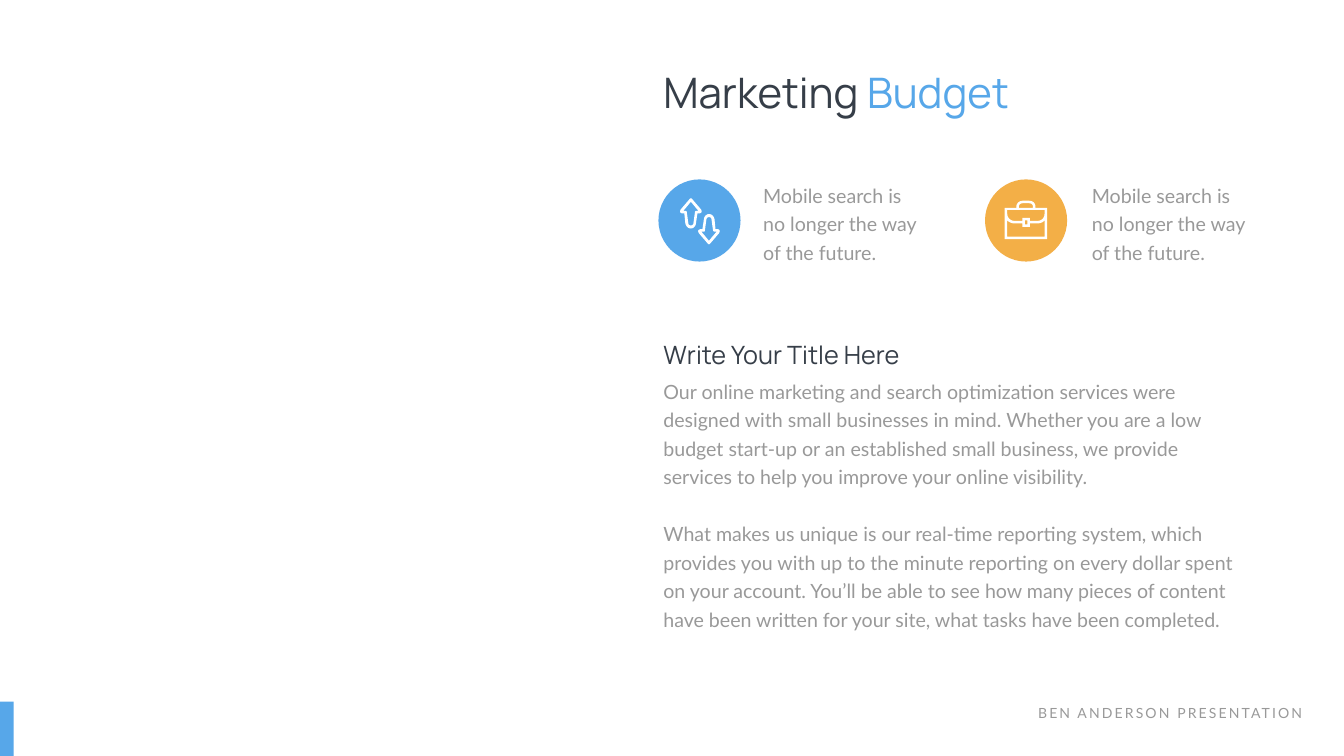
from dataclasses import dataclass
from typing import NamedTuple

from pptx import Presentation
from pptx.dml.color import RGBColor
from pptx.enum.shapes import MSO_SHAPE as Preset
from pptx.enum.text import MSO_AUTO_SIZE as AutoSize, PP_ALIGN as Align
from pptx.util import Inches, Pt


@dataclass(frozen=True)
class Theme:
    ink: str = "363E48"
    grey: str = "999999"
    blue: str = "57A7E9"
    orange: str = "F3AF47"
    white: str = "FFFFFF"
    heading_font: str = "Manrope"
    body_font: str = "Lato"
    title_size: float = 60
    subtitle_size: float = 36
    body_size: float = 28
    footer_size: float = 20
    leading: float = 40.8
    footer_tracking: float = 3


class Frame(NamedTuple):
    left: float
    top: float
    width: float
    height: float


class Style(NamedTuple):
    font: str
    size: float
    color: str


class Glyph(NamedTuple):
    outline: str
    left: float
    top: float
    direction: int = 1


class Feature(NamedTuple):
    circle_left: float
    text_left: float
    color: str
    glyphs: tuple[Glyph, ...]


THEME = Theme()
WIDTH, HEIGHT = Inches(26.66), Inches(15)
MARGIN = 48.99
BASELINE = 92.8
DIAMETER = Inches(1.63)
GLYPH_UNIT = Inches(0.01)
CURVE_STEPS = 6

TITLE = Style(THEME.heading_font, THEME.title_size, THEME.ink)
ACCENT = TITLE._replace(color=THEME.blue)
SUBTITLE = TITLE._replace(size=THEME.subtitle_size)
BODY = Style(THEME.body_font, THEME.body_size, THEME.grey)
FOOTER = BODY._replace(size=THEME.footer_size)

ARROW = (
    "M 33 25 C 31 25 30 26 30 28 L 27 50 C 27 52 24 54 22 54 C 19 54 17 52 17 50 "
    "L 14 28 C 14 26 12 25 11 25 L 7 25 L 22 7 L 37 25 "
    "M 43 28 C 44 26 43 24 42 22 L 24 1 C 24 1 23 0 22 0 C 21 0 20 1 20 1 L 2 22 "
    "C 1 24 0 26 1 28 C 2 29 3 30 5 30 L 9 30 L 11 50 C 12 55 16 60 22 60 "
    "C 27 60 32 55 32 50 L 35 30 L 38 30 C 40 30 42 29 43 28"
)
BRIEFCASE = (
    "M 65 40 L 50 40 L 50 34 L 35 34 L 35 40 L 19 40 C 12 40 5 34 5 26 L 5 18 "
    "L 79 18 L 79 26 C 79 34 73 40 65 40 "
    "M 40 39 L 45 39 L 45 47 L 40 47 "
    "M 79 71 L 5 71 L 5 39 C 9 43 14 45 19 45 L 35 45 L 35 52 L 50 52 L 50 45 "
    "L 65 45 C 70 45 76 43 79 39 "
    "M 28 12 C 28 8 31 5 35 5 L 49 5 C 53 5 56 8 56 12 L 56 14 L 28 14 "
    "M 61 14 L 61 12 C 61 5 56 0 49 0 L 35 0 C 29 0 23 5 23 12 L 23 14 L 0 14 "
    "L 0 76 L 84 76 L 84 14"
)

FEATURES = (
    Feature(MARGIN, 56.41, THEME.blue,
            (Glyph(ARROW, 0.26, 0.23), Glyph(ARROW, 0.75, 0.79, -1))),
    Feature(73.29, 80.87, THEME.orange, (Glyph(BRIEFCASE, 0.24, 0.26),)),
)
FEATURE_TEXT = "Mobile search is no longer the way of the future."
BODY_TEXTS = (
    "Our online marketing and search optimization services were designed with "
    "small businesses in mind. Whether you are a low budget start-up or an "
    "established small business, we provide services to help you improve your "
    "online visibility.",
    "What makes us unique is our real-time reporting system, which provides you "
    "with up to the minute reporting on every dollar spent on your account. "
    "You’ll be able to see how many pieces of content have been written for your "
    "site, what tasks have been completed.",
)


def place(frame: Frame) -> tuple[int, int, int, int]:
    return (round(WIDTH * frame.left / 100), round(HEIGHT * frame.top / 100),
            round(WIDTH * frame.width / 100), round(HEIGHT * frame.height / 100))


def paint(shape, color: str) -> None:
    shape.shadow.inherit = False
    shape.fill.solid()
    shape.fill.fore_color.rgb = RGBColor.from_string(color)
    shape.line.fill.background()


def add_block(slide, preset, frame: Frame, color: str):
    shape = slide.shapes.add_shape(preset, *place(frame))
    paint(shape, color)
    return shape


def add_text(slide, frame: Frame, *paragraphs: list[tuple[str, Style]],
             leading: float | None = None, align=Align.LEFT, tracking: float = 0) -> None:
    text_frame = slide.shapes.add_textbox(*place(frame)).text_frame
    text_frame.word_wrap = True
    text_frame.auto_size = AutoSize.SHAPE_TO_FIT_TEXT
    for index, pieces in enumerate(paragraphs):
        paragraph = text_frame.add_paragraph() if index else text_frame.paragraphs[0]
        paragraph.alignment = align
        if leading:
            paragraph.line_spacing = Pt(leading)
            if index:
                paragraph.space_before = Pt(leading)
        for text, style in pieces:
            run = paragraph.add_run()
            run.text = text
            run.font.name = style.font
            run.font.size = Pt(style.size)
            run.font.color.rgb = RGBColor.from_string(style.color)
            if tracking:
                run._r.get_or_add_rPr().set("spc", str(round(tracking * 100)))


def bezier(points: list[tuple[float, float]], share: float) -> tuple[float, float]:
    rest = 1 - share
    weights = (rest**3, 3 * rest**2 * share, 3 * rest * share**2, share**3)
    x, y = (sum(weight * value for weight, value in zip(weights, axis))
            for axis in zip(*points))
    return x, y


def trace(outline: str) -> list[list[tuple[float, float]]]:
    contours = []
    for part in outline.split("M")[1:]:
        contour = []
        for segment in part.replace("C", "L").split("L"):
            numbers = [float(number) for number in segment.split()]
            points = list(zip(numbers[::2], numbers[1::2]))
            if len(points) == 1:
                contour += points
            else:
                curve = [contour[-1], *points]
                contour += [bezier(curve, step / CURVE_STEPS)
                            for step in range(1, CURVE_STEPS + 1)]
        contours.append(contour)
    return contours


def add_glyph(slide, circle, glyph: Glyph) -> None:
    left = circle.left + DIAMETER * glyph.left
    top = circle.top + DIAMETER * glyph.top
    scale = GLYPH_UNIT * glyph.direction
    contours = [[(left + x * scale, top + y * scale) for x, y in contour]
                for contour in trace(glyph.outline)]
    builder = slide.shapes.build_freeform(*contours[0][0])
    for index, contour in enumerate(contours):
        if index:
            builder.move_to(*contour[0])
        builder.add_line_segments(contour[1:], close=True)
    paint(builder.convert_to_shape(), THEME.white)


def add_feature(slide, feature: Feature) -> None:
    circle = add_block(slide, Preset.OVAL, Frame(feature.circle_left, 23.73, 6.11, 10.87),
                       feature.color)
    for glyph in feature.glyphs:
        add_glyph(slide, circle, glyph)
    add_text(slide, Frame(feature.text_left, 23.27, 12.38, 11.8),
             [(FEATURE_TEXT, BODY)], leading=THEME.leading)


def main() -> None:
    presentation = Presentation()
    presentation.slide_width, presentation.slide_height = WIDTH, HEIGHT
    slide = presentation.slides.add_slide(presentation.slide_layouts[6])
    add_text(slide, Frame(MARGIN, 8.53, 33.68, 7.4),
             [("Marketing ", TITLE), ("Budget", ACCENT)])
    for feature in FEATURES:
        add_feature(slide, feature)
    add_text(slide, Frame(MARGIN, 49.2, 44.22, 34.8),
             *([(text, BODY)] for text in BODY_TEXTS), leading=THEME.leading)
    add_text(slide, Frame(MARGIN, 44.53, 22.88, 4.73), [("Write Your Title Here", SUBTITLE)])
    add_text(slide, Frame(75.32, BASELINE, 21.94, 2.93),
             [("BEN ANDERSON PRESENTATION", FOOTER)],
             align=Align.RIGHT, tracking=THEME.footer_tracking)
    add_block(slide, Preset.RECTANGLE, Frame(0, BASELINE, 1.01, 7.2), THEME.blue)
    presentation.save("out.pptx")


if __name__ == "__main__":
    main()
